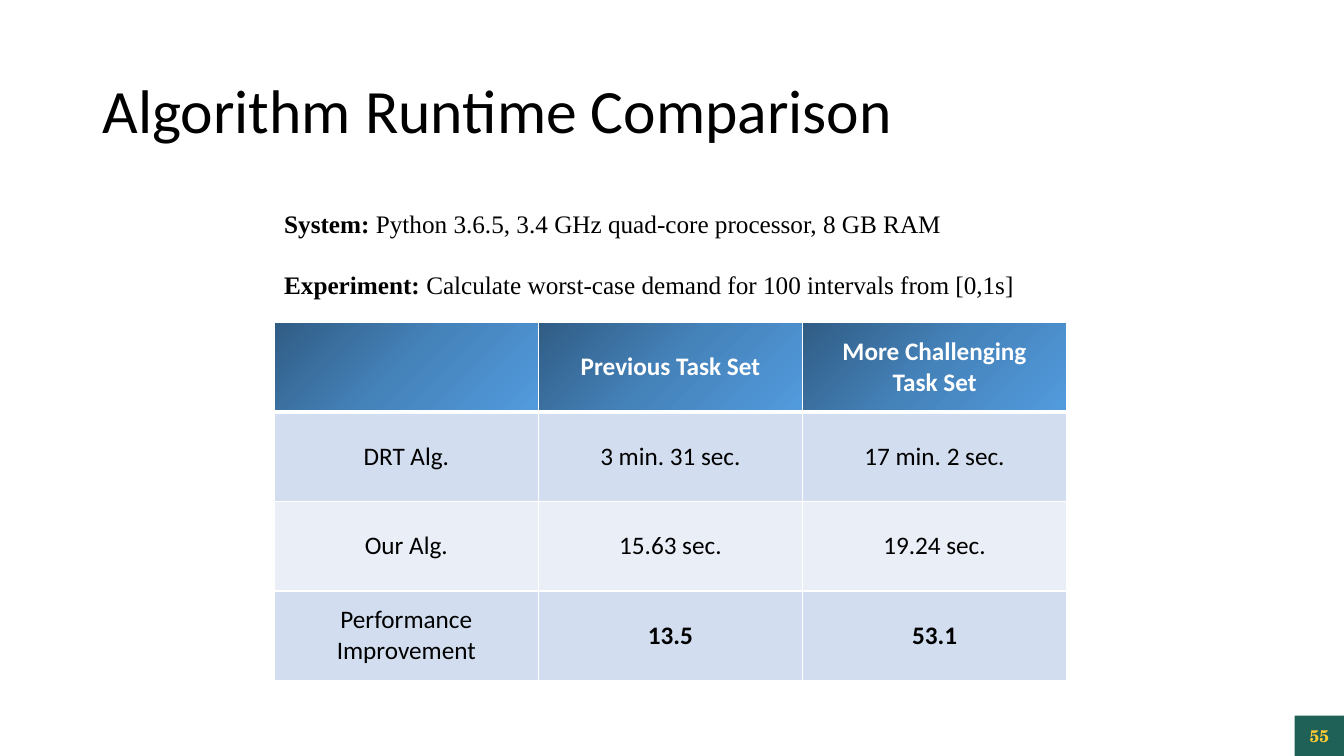
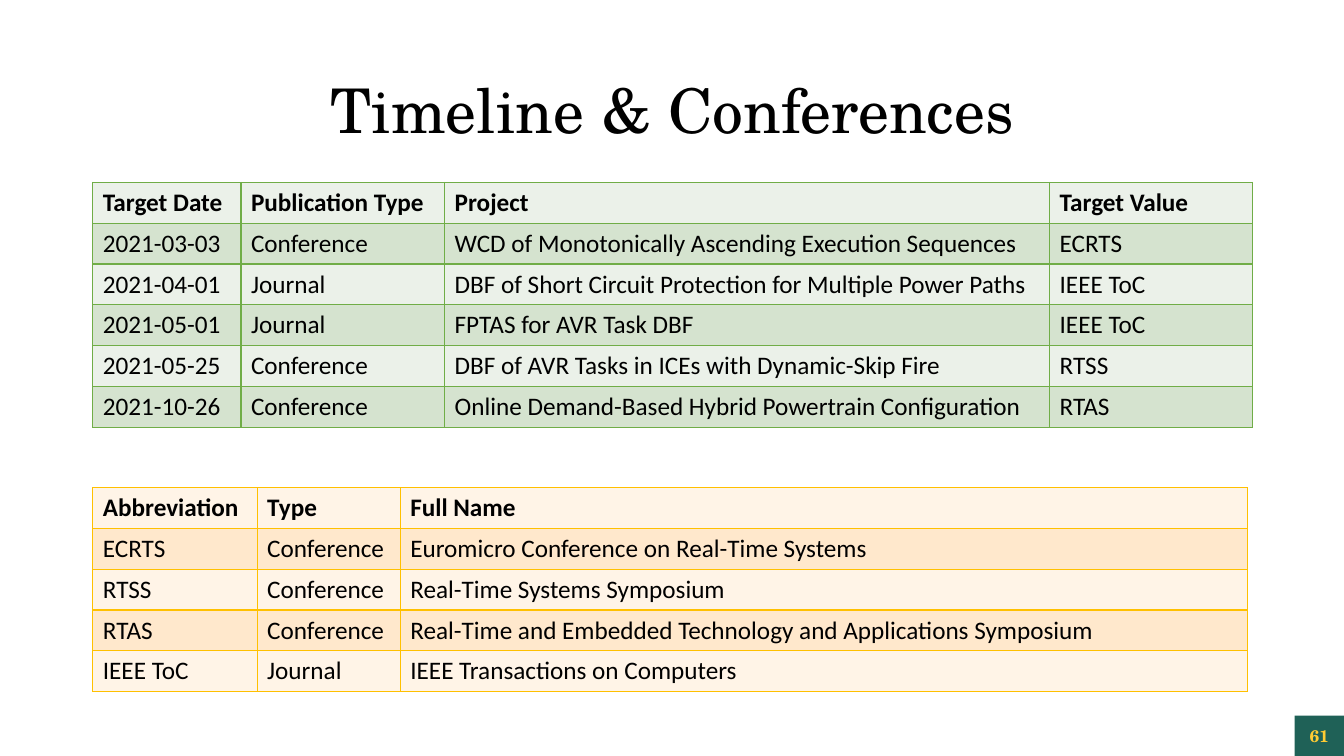
from dataclasses import dataclass
from typing import Optional

from lxml import etree
from pptx import Presentation
from pptx.dml.color import RGBColor
from pptx.enum.shapes import MSO_SHAPE
from pptx.enum.text import MSO_ANCHOR, PP_ALIGN
from pptx.oxml.ns import qn
from pptx.util import Inches, Pt

RECT = MSO_SHAPE.RECTANGLE
TOP, MIDDLE = MSO_ANCHOR.TOP, MSO_ANCHOR.MIDDLE
LEFT, CENTER = PP_ALIGN.LEFT, PP_ALIGN.CENTER

SANS, SERIF, SCHOLA = "Calibri", "Times New Roman", "TeX Gyre Schola"

BLACK = RGBColor(0x00, 0x00, 0x00)
WHITE = RGBColor(0xFF, 0xFF, 0xFF)
BADGE_GREEN = RGBColor(0x1F, 0x61, 0x57)
BADGE_GOLD = RGBColor(0xFF, 0xCC, 0x33)
BLUE_DARK = RGBColor(0x30, 0x5C, 0x84)
BLUE_MID = RGBColor(0x45, 0x83, 0xBB)
BLUE_LIGHT = RGBColor(0x52, 0x9B, 0xDE)
BAND_BLUE = RGBColor(0xD2, 0xDE, 0xEF)
PALE_BLUE = RGBColor(0xEA, 0xEF, 0xF7)
GREEN = RGBColor(0x70, 0xAD, 0x47)
BAND_GREEN = RGBColor(0xD5, 0xE3, 0xCF)
PALE_GREEN = RGBColor(0xEB, 0xF1, 0xE9)
AMBER = RGBColor(0xFF, 0xC0, 0x00)
BAND_AMBER = RGBColor(0xFF, 0xE8, 0xCC)
PALE_AMBER = RGBColor(0xFF, 0xF4, 0xE7)

HEADER_STOPS = ((0, BLUE_DARK), (50, BLUE_MID), (100, BLUE_LIGHT))


@dataclass(frozen=True)
class TableStyle:
    border: RGBColor
    band: RGBColor
    pale: RGBColor
    header_stops: Optional[tuple] = None
    header_color: RGBColor = BLACK
    header_rule: float = 1
    align: PP_ALIGN = LEFT
    anchor: MSO_ANCHOR = TOP


@dataclass(frozen=True)
class TableSpec:
    left: float
    top: float
    height: float
    widths: tuple
    rows: tuple
    style: TableStyle
    bold_cells: tuple = ()


BLUE_STYLE = TableStyle(WHITE, BAND_BLUE, PALE_BLUE, HEADER_STOPS, WHITE, 3, CENTER, MIDDLE)
GREEN_STYLE = TableStyle(GREEN, BAND_GREEN, PALE_GREEN)
AMBER_STYLE = TableStyle(AMBER, BAND_AMBER, PALE_AMBER)

RUNTIMES = TableSpec(2.72, 3.2, 3.55, (2.62,) * 3, (
    ("", "Previous Task Set", "More Challenging\nTask Set"),
    ("DRT Alg.", "3 min. 31 sec.", "17 min. 2 sec."),
    ("Our Alg.", "15.63 sec.", "19.24 sec."),
    ("Performance Improvement", "13.5", "53.1"),
), BLUE_STYLE, bold_cells=((3, 1), (3, 2)))

TIMELINE = TableSpec(0.92, 1.81, 2.43, (1.47, 2.02, 6, 2.01), (
    ("Target Date", "Publication Type", "Project", "Target Value"),
    ("2021-03-03", "Conference", "WCD of Monotonically Ascending Execution Sequences", "ECRTS"),
    ("2021-04-01", "Journal", "DBF of Short Circuit Protection for Multiple Power Paths", "IEEE ToC"),
    ("2021-05-01", "Journal", "FPTAS for AVR Task DBF", "IEEE ToC"),
    ("2021-05-25", "Conference", "DBF of AVR Tasks in ICEs with Dynamic-Skip Fire", "RTSS"),
    ("2021-10-26", "Conference", "Online Demand-Based Hybrid Powertrain Configuration", "RTAS"),
), GREEN_STYLE)

VENUES = TableSpec(0.92, 4.84, 2.02, (1.63, 1.42, 8.4), (
    ("Abbreviation", "Type", "Full Name"),
    ("ECRTS", "Conference", "Euromicro Conference on Real-Time Systems"),
    ("RTSS", "Conference", "Real-Time Systems Symposium"),
    ("RTAS", "Conference", "Real-Time and Embedded Technology and Applications Symposium"),
    ("IEEE ToC", "Journal", "IEEE Transactions on Computers"),
), AMBER_STYLE)

SETUP = (
    ("System:", " Python 3.6.5, 3.4 GHz quad-core processor, 8 GB RAM"),
    ("Experiment:", " Calculate worst-case demand for 100 intervals from [0,1s]"),
)


def add_run(p, text: str, *, size: float = 18, font: str = SANS,
            color: RGBColor = BLACK, bold: bool = False) -> None:
    r = p.add_run()
    r.text = text
    r.font.size, r.font.name, r.font.bold = Pt(size), font, bold
    r.font.color.rgb = color


def write(tf, text: str, *, align: PP_ALIGN = LEFT, line_spacing: Optional[float] = None, **run_format) -> None:
    """Write each line of text as a paragraph."""
    for i, line in enumerate(text.split("\n")):
        p = tf.add_paragraph() if i else tf.paragraphs[0]
        p.alignment = align
        p.line_spacing = line_spacing
        if line:
            add_run(p, line, **run_format)


def add_textbox(s, left: float, top: float, width: float, height: float, anchor: MSO_ANCHOR = TOP):
    tf = s.shapes.add_textbox(Inches(left), Inches(top), Inches(width), Inches(height)).text_frame
    tf.word_wrap = True
    tf.vertical_anchor = anchor
    return tf


def add_slide(prs, title: str, number: int, *, font: str, align: PP_ALIGN):
    """Add a blank slide with its title and page-number badge."""
    s = prs.slides.add_slide(prs.slide_layouts[6])
    write(add_textbox(s, 0.92, 0.4, 11.5, 1.45, MIDDLE), title,
          size=44, font=font, align=align, line_spacing=0.9)
    sp = s.shapes.add_shape(RECT, Inches(12.84), Inches(7.1), Inches(0.49), Inches(0.4))
    sp.shadow.inherit = False
    sp.fill.solid()
    sp.fill.fore_color.rgb = BADGE_GREEN
    sp.line.fill.background()
    tf = sp.text_frame
    tf.vertical_anchor = MIDDLE
    write(tf, str(number), size=12, font=SCHOLA, color=BADGE_GOLD, bold=True, align=CENTER)
    return s


def add_color(parent, color: RGBColor) -> None:
    etree.SubElement(parent, qn("a:srgbClr"), val=str(color))


def set_borders(cell, color: RGBColor, top: float, bottom: float) -> None:
    """Give the cell 1 pt sides and the given top and bottom widths; call before filling."""
    tcPr = cell._tc.get_or_add_tcPr()
    for tag, width in (("lnL", 1), ("lnR", 1), ("lnT", top), ("lnB", bottom)):
        ln = etree.SubElement(tcPr, qn(f"a:{tag}"), w=str(Pt(width)))
        add_color(etree.SubElement(ln, qn("a:solidFill")), color)


def fill_gradient(cell, stops: tuple) -> None:
    """Fill diagonally, from top left to bottom right."""
    grad = etree.SubElement(cell._tc.get_or_add_tcPr(), qn("a:gradFill"))
    gs_list = etree.SubElement(grad, qn("a:gsLst"))
    for percent, color in stops:
        add_color(etree.SubElement(gs_list, qn("a:gs"), pos=str(percent * 1000)), color)
    etree.SubElement(grad, qn("a:lin"), ang=str(45 * 60000), scaled="0")


def draw_table(s, spec: TableSpec) -> None:
    style, n_rows = spec.style, len(spec.rows)
    table = s.shapes.add_table(n_rows, len(spec.widths), Inches(spec.left), Inches(spec.top),
                               Inches(sum(spec.widths)), Inches(spec.height)).table
    for column, width in zip(table.columns, spec.widths):
        column.width = Inches(width)
    for i, texts in enumerate(spec.rows):
        table.rows[i].height = Inches(spec.height / n_rows)
        header = i == 0
        for j, text in enumerate(texts):
            cell = table.cell(i, j)
            set_borders(cell, style.border,
                        top=style.header_rule if i == 1 else 1,
                        bottom=style.header_rule if header else 1)
            if header and style.header_stops:
                fill_gradient(cell, style.header_stops)
            else:
                cell.fill.solid()
                cell.fill.fore_color.rgb = style.band if i % 2 else style.pale
            cell.vertical_anchor = style.anchor
            write(cell.text_frame, text, align=style.align,
                  color=style.header_color if header else BLACK,
                  bold=header or (i, j) in spec.bold_cells)


def draw_setup(s) -> None:
    tf = add_textbox(s, 2.72, 2.02, 7.85, 1.01)
    for i, (label, detail) in enumerate(SETUP):
        p = tf.add_paragraph() if i else tf.paragraphs[0]
        if i:
            p.space_before = Pt(22)
        add_run(p, label, font=SERIF, bold=True)
        add_run(p, detail, font=SERIF)


def main() -> None:
    prs = Presentation()
    prs.slide_width, prs.slide_height = Inches(13.33), Inches(7.5)

    s = add_slide(prs, "Algorithm Runtime Comparison", 55, font=SANS, align=LEFT)
    draw_table(s, RUNTIMES)
    draw_setup(s)

    s = add_slide(prs, "Timeline & Conferences", 61, font=SCHOLA, align=CENTER)
    draw_table(s, TIMELINE)
    draw_table(s, VENUES)

    prs.save("out.pptx")


if __name__ == "__main__":
    main()
